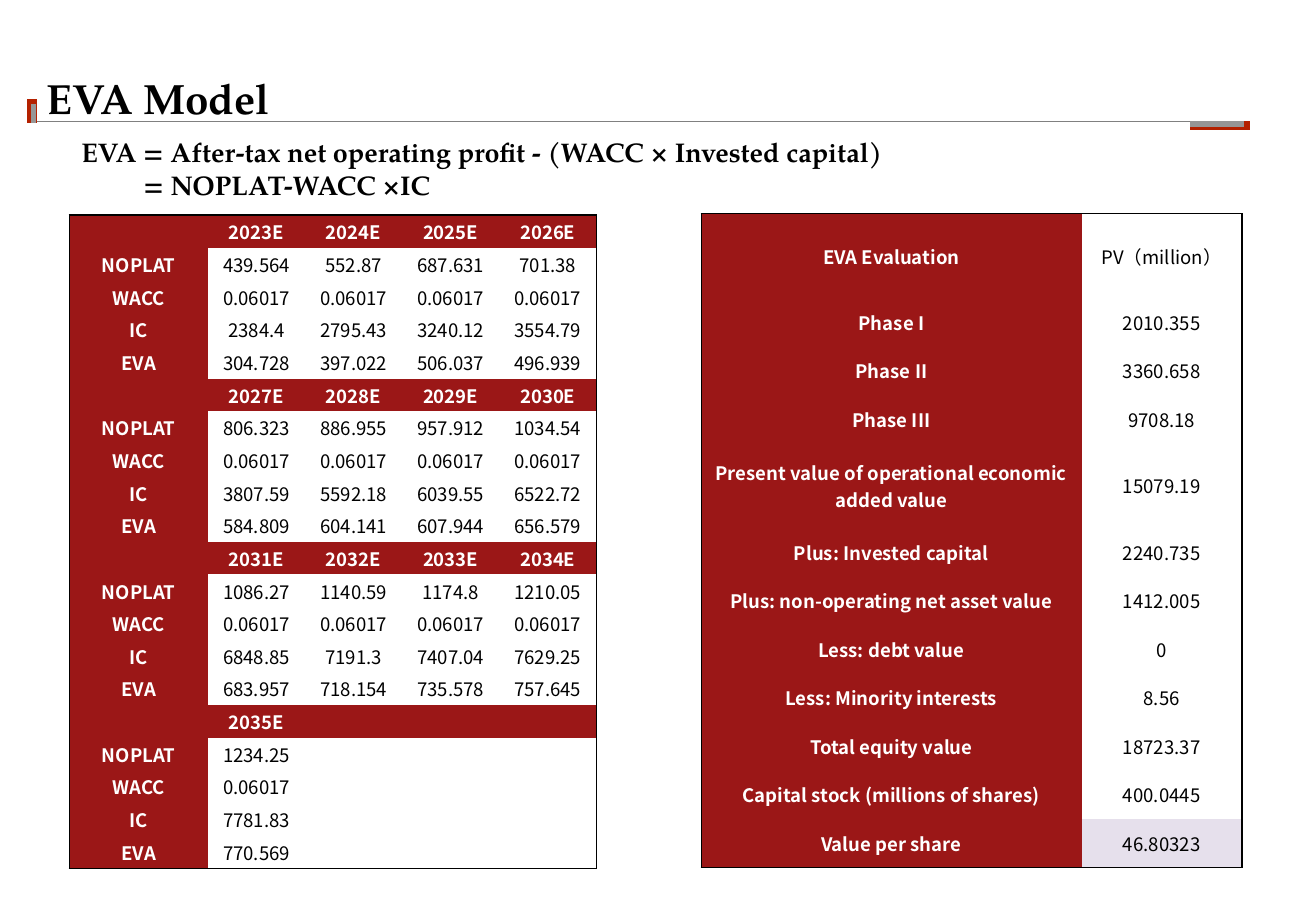
from dataclasses import dataclass

from lxml.etree import SubElement
from pptx import Presentation
from pptx.dml.color import RGBColor
from pptx.enum.shapes import MSO_CONNECTOR
from pptx.enum.text import MSO_ANCHOR, MSO_AUTO_SIZE, PP_ALIGN
from pptx.oxml.ns import qn
from pptx.util import Cm, Pt


@dataclass(frozen=True)
class Theme:
    """Colours, fonts and type sizes of the slide."""
    black: str = "000000"
    white: str = "FFFFFF"
    header: str = "9B1717"
    result: str = "E6E0EC"
    rule: str = "808080"
    accent: str = "B42100"
    shade: str = "969696"
    serif: str = "TeX Gyre Pagella"
    sans: str = "Noto Sans CJK SC"
    title: int = 25
    formula: int = 16
    table: int = 11
    border: int = 1


THEME = Theme()
NO_STYLE_NO_GRID = "{2D5ABB26-0587-4C30-8999-92F81FD0307C}"
TABLE_HEIGHT = 13.67
YEAR_COLUMNS = 4
WACC = "0.06017"

PERIODS = [
    {"years": ["2023E", "2024E", "2025E", "2026E"],
     "NOPLAT": ["439.564", "552.87", "687.631", "701.38"],
     "IC": ["2384.4", "2795.43", "3240.12", "3554.79"],
     "EVA": ["304.728", "397.022", "506.037", "496.939"]},
    {"years": ["2027E", "2028E", "2029E", "2030E"],
     "NOPLAT": ["806.323", "886.955", "957.912", "1034.54"],
     "IC": ["3807.59", "5592.18", "6039.55", "6522.72"],
     "EVA": ["584.809", "604.141", "607.944", "656.579"]},
    {"years": ["2031E", "2032E", "2033E", "2034E"],
     "NOPLAT": ["1086.27", "1140.59", "1174.8", "1210.05"],
     "IC": ["6848.85", "7191.3", "7407.04", "7629.25"],
     "EVA": ["683.957", "718.154", "735.578", "757.645"]},
    {"years": ["2035E"], "NOPLAT": ["1234.25"], "IC": ["7781.83"], "EVA": ["770.569"]},
]

EVALUATION = [
    ["EVA Evaluation", "PV（million）"],
    ["Phase I", "2010.355"],
    ["Phase II", "3360.658"],
    ["Phase III", "9708.18"],
    ["Present value of operational economic added value", "15079.19"],
    ["Plus: Invested capital", "2240.735"],
    ["Plus: non-operating net asset value", "1412.005"],
    ["Less: debt value", "0"],
    ["Less: Minority interests", "8.56"],
    ["Total equity value", "18723.37"],
    ["Capital stock (millions of shares)", "400.0445"],
    ["Value per share", "46.80323"],
]


def write(p, text, *, font, size, color=THEME.black, bold=False, align=PP_ALIGN.LEFT, indent=0):
    """Put formatted text into a paragraph."""
    p.alignment = align
    if indent:
        p._p.get_or_add_pPr().set("marL", str(Cm(indent)))
    if not text:
        SubElement(p._p, qn("a:endParaRPr"), sz=str(size * 100))
        return
    r = p.add_run()
    r.text = text
    r.font.name, r.font.size, r.font.bold = font, Pt(size), bold
    r.font.color.rgb = RGBColor.from_string(color)
    SubElement(r._r.get_or_add_rPr(), qn("a:ea"), typeface=font)


def add_rule(s, x1, y1, x2, y2, color, width):
    """Draw one straight line without a shadow."""
    line = s.shapes.add_connector(MSO_CONNECTOR.STRAIGHT, Cm(x1), Cm(y1), Cm(x2), Cm(y2))
    line.line.color.rgb = RGBColor.from_string(color)
    line.line.width = Pt(width)
    SubElement(line._element.spPr, qn("a:effectLst"))


def add_title(s, text):
    """Place and format the title placeholder."""
    sp = s.shapes.title
    sp.left, sp.top, sp.width, sp.height = Cm(0.97), Cm(1.5), Cm(26), Cm(1.07)
    tf = sp.text_frame
    tf.margin_left = tf.margin_right = tf.margin_top = tf.margin_bottom = 0
    tf.vertical_anchor = MSO_ANCHOR.MIDDLE
    write(tf.paragraphs[0], text, font=THEME.serif, size=THEME.title, bold=True)


def add_formula(s, lines):
    """Add the formula, one paragraph for each (text, indent) pair."""
    sp = s.shapes.add_textbox(Cm(1.45), Cm(2.72), Cm(26), Cm(1.63))
    tf = sp.text_frame
    tf.word_wrap = True
    tf.auto_size = MSO_AUTO_SIZE.SHAPE_TO_FIT_TEXT
    for i, (text, indent) in enumerate(lines):
        p = tf.add_paragraph() if i else tf.paragraphs[0]
        write(p, text, font=THEME.serif, size=THEME.formula, bold=True, indent=indent)


def add_border(cell, side):
    """Add a solid border on one side of a cell."""
    ln = SubElement(cell._tc.get_or_add_tcPr(), qn(f"a:ln{side}"), w=str(Pt(THEME.border)))
    SubElement(SubElement(ln, qn("a:solidFill")), qn("a:srgbClr"), val=THEME.black)


def fill_cell(cell, text, fill):
    """Fill a cell and write its centred text."""
    if fill:
        cell.fill.solid()
        cell.fill.fore_color.rgb = RGBColor.from_string(fill)
    else:
        cell.fill.background()
    cell.margin_left = cell.margin_right = cell.margin_top = cell.margin_bottom = 0
    cell.vertical_anchor = MSO_ANCHOR.MIDDLE
    is_header = fill == THEME.header
    write(cell.text_frame.paragraphs[0], text, font=THEME.sans, size=THEME.table,
          color=THEME.white if is_header else THEME.black, bold=is_header, align=PP_ALIGN.CENTER)


def add_framed_table(s, left, top, widths, heights, rows, fill_at):
    """Add a table with an outer frame; fill_at(row, column) gives the fill."""
    frame = s.shapes.add_table(len(rows), len(widths), Cm(left), Cm(top),
                               Cm(sum(widths)), Cm(sum(heights)))
    table = frame.table
    table.first_row = table.horz_banding = False
    table._tbl.tblPr.find(qn("a:tableStyleId")).text = NO_STYLE_NO_GRID
    for column, width in zip(table.columns, widths):
        column.width = Cm(width)
    for row, height in zip(table.rows, heights):
        row.height = Cm(height)
    for i, row in enumerate(rows):
        for j, text in enumerate(row):
            cell = table.cell(i, j)
            edges = {"L": j == 0, "R": j == len(widths) - 1,
                     "T": i == 0, "B": i == len(rows) - 1}
            for side, on_edge in edges.items():
                if on_edge:
                    add_border(cell, side)
            fill_cell(cell, text, fill_at(i, j))


def add_forecast(s):
    """Add the yearly EVA forecast in blocks of four years."""
    rows = []
    for period in PERIODS:
        years = period["years"]
        block = [("", years), ("NOPLAT", period["NOPLAT"]), ("WACC", [WACC] * len(years)),
                 ("IC", period["IC"]), ("EVA", period["EVA"])]
        rows += [[label, *values, *[""] * (YEAR_COLUMNS - len(values))]
                 for label, values in block]
    block_size = len(rows) // len(PERIODS)
    add_framed_table(s, 1.45, 4.5, [2.9] + [2.03] * YEAR_COLUMNS,
                     [TABLE_HEIGHT / len(rows)] * len(rows), rows,
                     lambda i, j: THEME.header if j == 0 or i % block_size == 0 else None)


def add_evaluation(s):
    """Add the valuation table with its highlighted result."""
    tall_rows, tall, last = (0, 4), 1.76, len(EVALUATION) - 1
    short = (TABLE_HEIGHT - tall * len(tall_rows)) / (len(EVALUATION) - len(tall_rows))
    heights = [tall if i in tall_rows else short for i in range(len(EVALUATION))]
    add_framed_table(s, 14.66, 4.47, [7.95, 3.35], heights, EVALUATION,
                     lambda i, j: THEME.header if j == 0 else THEME.result if i == last else None)


def main():
    """Build the EVA slide."""
    prs = Presentation()
    prs.slide_width, prs.slide_height = Cm(27.51), Cm(19.05)
    s = prs.slides.add_slide(prs.slide_layouts[5])
    add_rule(s, 0.76, 2.54, 24.87, 2.54, THEME.rule, 1)
    add_rule(s, 0.66, 2.57, 0.66, 2.06, THEME.accent, 6)
    add_rule(s, 0.71, 2.57, 0.71, 2.18, THEME.shade, 3)
    add_rule(s, 24.87, 2.62, 26.14, 2.62, THEME.accent, 5.5)
    add_rule(s, 24.87, 2.59, 26.01, 2.59, THEME.shade, 3.38)
    add_title(s, "EVA Model")
    add_formula(s, [("EVA = After-tax net operating profit - (WACC × Invested capital)", 0),
                    ("= NOPLAT-WACC ×IC", 1.3)])
    add_evaluation(s)
    add_forecast(s)
    prs.save("out.pptx")


if __name__ == "__main__":
    main()
